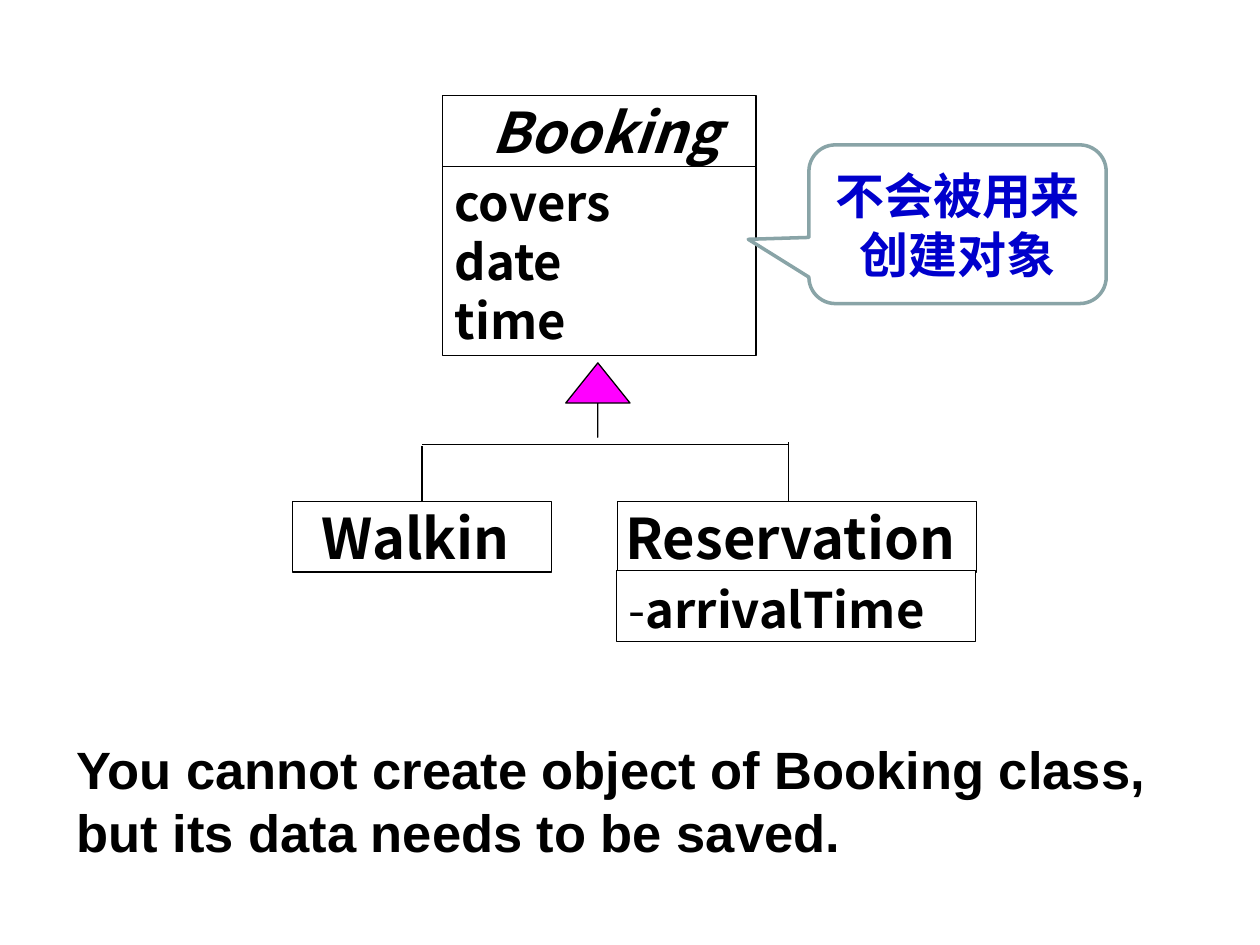
from lxml import etree
from pptx import Presentation
from pptx.dml.color import RGBColor
from pptx.enum.shapes import MSO_CONNECTOR, MSO_SHAPE
from pptx.enum.text import MSO_ANCHOR, PP_ALIGN
from pptx.oxml.ns import qn
from pptx.util import Inches, Pt

RECT = MSO_SHAPE.RECTANGLE
ARROW = MSO_SHAPE.UP_ARROW
CALLOUT = MSO_SHAPE.ROUNDED_RECTANGULAR_CALLOUT
STRAIGHT = MSO_CONNECTOR.STRAIGHT
LEFT, CENTER = PP_ALIGN.LEFT, PP_ALIGN.CENTER
TOP, MIDDLE = MSO_ANCHOR.TOP, MSO_ANCHOR.MIDDLE

COLORS = {
    "black": "000000",
    "white": "FFFFFF",
    "magenta": "FF00FF",
    "blue": "0000CC",
    "gray": "89A4A7",
}
CJK = "Noto Sans CJK SC"
TITLE = {"size": Pt(32), "bold": True}
FIELD = {"size": Pt(28), "bold": True}


class Diagram:
    def __init__(self, slide):
        self.s = slide

    def color(self, name):
        return RGBColor.from_string(COLORS[name])

    def shape(self, kind, at, fill="white", line="black", width=0.75, adj=()):
        sp = self.s.shapes.add_shape(kind, *map(Inches, at))
        sp.shadow.inherit = False
        sp.fill.solid()
        sp.fill.fore_color.rgb = self.color(fill)
        sp.line.color.rgb = self.color(line)
        sp.line.width = Pt(width)
        for i, value in enumerate(adj):
            sp.adjustments[i] = value
        return sp

    def label(self, sp, paragraphs, align=LEFT, anchor=MIDDLE, wrap=False,
              font=CJK, color="black", **margins):
        tf = sp.text_frame
        frame = {"word_wrap": wrap, "vertical_anchor": anchor, **margins}
        for name, value in frame.items():
            setattr(tf, name, value)
        for i, runs in enumerate(paragraphs):
            p = tf.add_paragraph() if i else tf.paragraphs[0]
            p.alignment = align
            for text, style in runs:
                r = p.add_run()
                r.text = text
                for name, value in {"name": font, **style}.items():
                    setattr(r.font, name, value)
                r.font.color.rgb = self.color(color)
                ea = etree.SubElement(r.font._element, qn("a:ea"))
                ea.set("typeface", font)

    def box(self, at, paragraphs, **options):
        self.label(self.shape(RECT, at), paragraphs, **options)

    def text(self, at, paragraphs, **options):
        sp = self.s.shapes.add_textbox(*map(Inches, at))
        self.label(sp, paragraphs, anchor=TOP, wrap=True, **options)

    def line(self, x1, y1, x2, y2):
        sp = self.s.shapes.add_connector(STRAIGHT, *map(Inches, (x1, y1, x2, y2)))
        sp.line.color.rgb = self.color("black")
        sp.line.width = Pt(0.75)
        etree.SubElement(sp._element.spPr, qn("a:effectLst"))


def main():
    prs = Presentation()
    prs.slide_width, prs.slide_height = Inches(10), Inches(7.5)
    d = Diagram(prs.slides.add_slide(prs.slide_layouts[6]))

    d.box((3.51, 0.76, 2.49, 0.56), [[("Booking", {**TITLE, "italic": True})]],
          align=CENTER, margin_left=Inches(0.21))
    d.box((3.51, 1.32, 2.49, 1.5),
          [[(name, FIELD)] for name in ("covers", "date", "time")])

    d.line(3.35, 3.53, 6.26, 3.53)
    d.line(3.35, 3.54, 3.35, 4.12)
    d.line(6.26, 3.51, 6.26, 4.09)
    d.shape(ARROW, (4.49, 2.88, 0.51, 0.59), fill="magenta", adj=(0, 0.625))

    d.text((0.51, 5.8, 8.98, 1.1),
           [[("You cannot create object of Booking class, "
              "but its data needs to be saved.",
              {"size": Pt(30), "bold": True})]], font="Arial")

    for name, x, width in (("Reservation", 4.9, 2.85), ("Walkin", 2.32, 2.06)):
        d.box((x, 3.98, width, 0.56), [[(name, TITLE)]],
              align=CENTER, margin_right=Inches(0.2))
    d.box((4.89, 4.53, 2.85, 0.56),
          [[("-", {"size": Pt(28), "bold": False}), ("arrivalTime", FIELD)]],
          margin_top=Inches(0.1))

    callout = d.shape(CALLOUT, (6.42, 1.15, 2.36, 1.26), line="gray", width=2,
                      adj=(-0.704, 0.095, 0.167))
    d.label(callout, [[("不会被用来创建对象", FIELD)]],
            align=CENTER, wrap=True, color="blue")

    prs.save("out.pptx")


if __name__ == "__main__":
    main()
